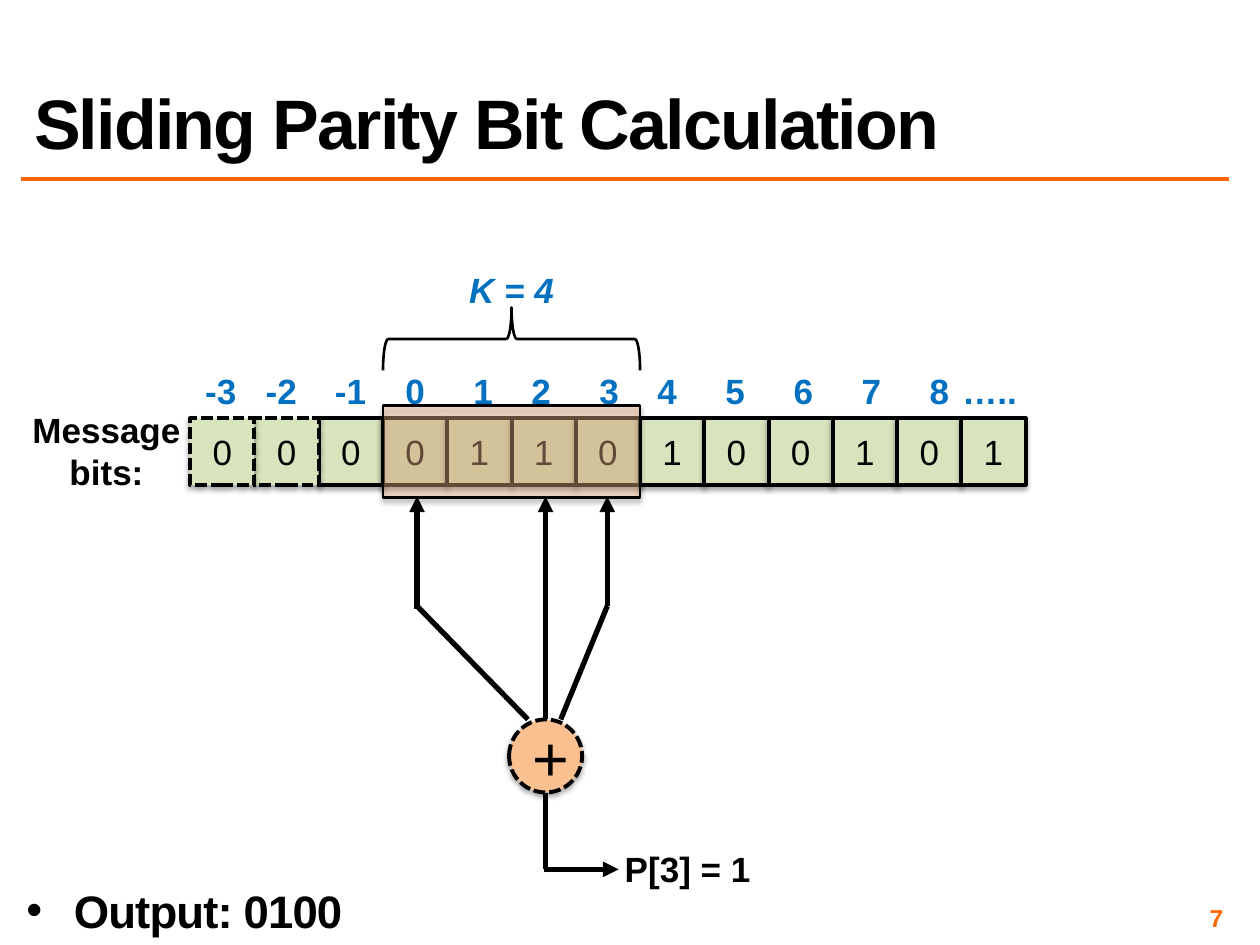
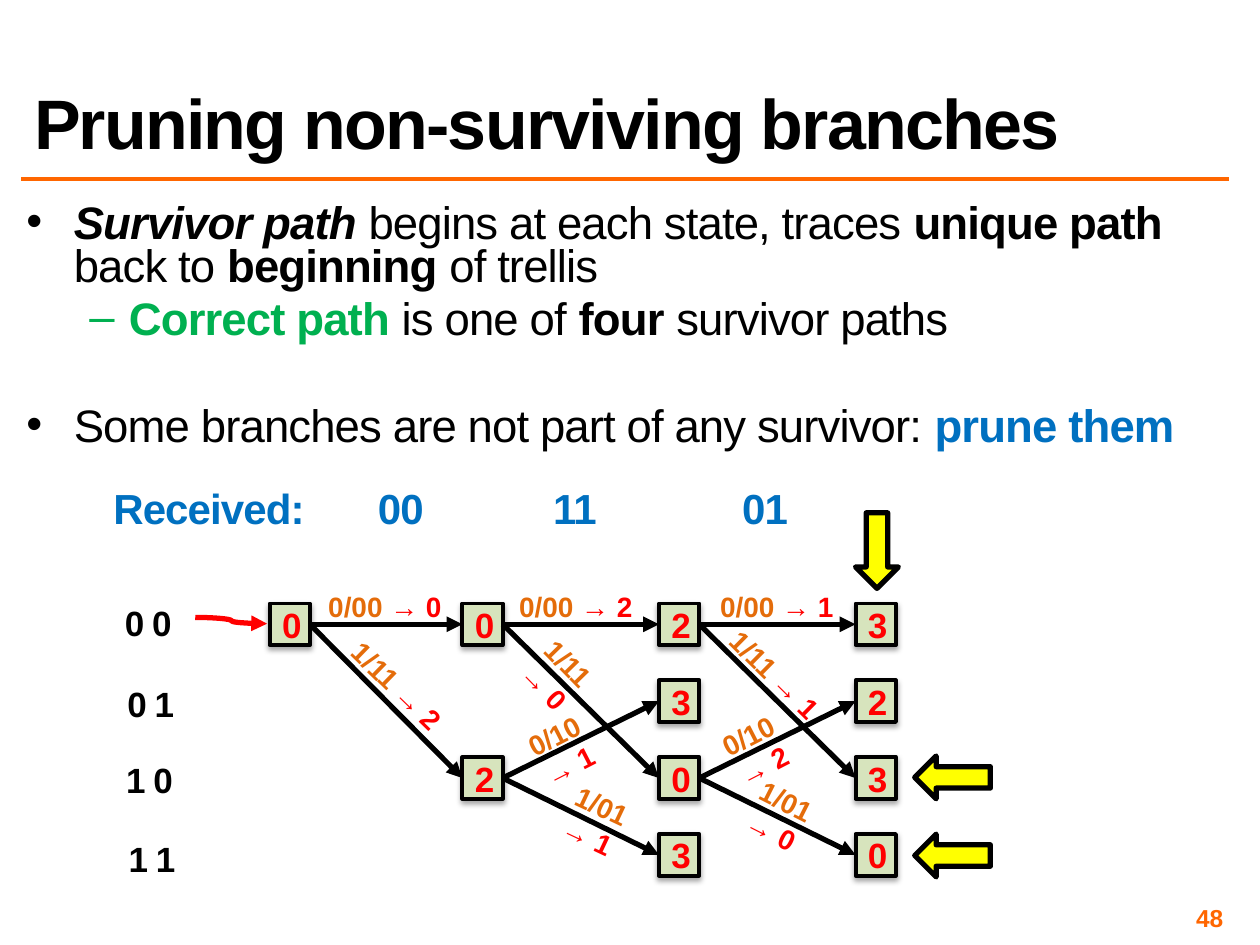
from pptx import Presentation
from pptx.dml.color import RGBColor
from pptx.enum.dml import MSO_LINE
from pptx.enum.shapes import MSO_CONNECTOR, MSO_SHAPE
from pptx.enum.text import MSO_ANCHOR, MSO_AUTO_SIZE, PP_ALIGN
from pptx.oxml.ns import qn
from pptx.util import Inches, Pt
from lxml import etree

RECT, OVAL = MSO_SHAPE.RECTANGLE, MSO_SHAPE.OVAL
BRACE, BLOCK_ARROW = MSO_SHAPE.RIGHT_BRACE, MSO_SHAPE.DOWN_ARROW
STRAIGHT, CURVE = MSO_CONNECTOR.STRAIGHT, MSO_CONNECTOR.CURVE
LEFT, CENTER, RIGHT = PP_ALIGN.LEFT, PP_ALIGN.CENTER, PP_ALIGN.RIGHT
TOP, MIDDLE, BOTTOM = MSO_ANCHOR.TOP, MSO_ANCHOR.MIDDLE, MSO_ANCHOR.BOTTOM
DASH = MSO_LINE.SQUARE_DOT

FONT = "Arial"
COLORS = {
    "black": "000000",
    "orange": "FF6600",
    "branch": "E46C0A",
    "red": "FF0000",
    "blue": "0070C0",
    "green": "00B050",
    "cell": "D7E4BD",
    "peach": "FAC090",
    "yellow": "FFFF00",
}
TIGHT = 0.04
NORMAL = 0.1

BITS = "0000110100101"
PADDING_CELLS = 2
CELL_LEFT, CELL_TOP, CELL_WIDTH, CELL_HEIGHT = 1.51, 3.32, 0.51, 0.53
INDICES = ["-3", "-2", "-1", *map(str, range(9)), "….."]
INDEX_TABS = [0.48, 1.03, 1.59, 2.13, 2.59, 3.13, 3.59, 4.13, 4.67, 5.21, 5.75, 6.01]

STAGE_LEFTS = [2.14, 3.67, 5.23, 6.79]
STATE_TOP, STATE_PITCH = 4.79, 0.61
STAGE_METRICS = [{0: "0"}, {0: "0", 2: "2"},
                 {0: "2", 1: "3", 2: "0", 3: "3"},
                 {0: "3", 1: "2", 2: "3", 3: "0"}]
NEXT_STATES = {0: (0, 2), 2: (1, 3)}
STATE_NAMES = [("0 0", 0.95, 4.73), ("0 1", 0.97, 5.38),
               ("1 0", 0.96, 5.98), ("1 1", 0.98, 6.61)]
BRANCH_LABELS = [
    ("0/00 ", "→ 0", (2.46, 4.63, 1.19, 0.37), 0),
    ("1/11 ", "→ 2", (2.56, 5.26, 1.18, 0.37), 44.2),
    ("0/00 ", "→ 2", (3.94, 4.63, 1.26, 0.37), 0),
    ("1/11 ", "→ 0", (4.05, 5.04, 0.73, 0.64), 45.7),
    ("0/10 ", "→ 1", (4.12, 5.64, 0.68, 0.64), 332.8),
    ("1/01 ", "→ 1", (4.39, 6.2, 0.66, 0.64), 25.3),
    ("0/00 ", "→ 1", (5.55, 4.63, 1.23, 0.37), 0),
    ("1/11 ", "→ 1", (5.5, 5.17, 1.3, 0.37), 44.6),
    ("0/10 ", "→ 2", (5.66, 5.64, 0.68, 0.64), 332.8),
    ("1/01 ", "→ 0", (5.85, 6.16, 0.66, 0.64), 26.8),
]


def rgb(name):
    return RGBColor.from_string(COLORS[name])


def inches(values):
    return [Inches(value) for value in values]


def add_xml(parent, tag, **attributes):
    return etree.SubElement(parent, qn(tag), attributes)


def write(paragraph, text, size, color="black", bold=None, italic=None,
          align=LEFT, spacing=0):
    paragraph.alignment = align
    font = paragraph.font
    font.name, font.size = FONT, Pt(size)
    pieces = text
    if isinstance(text, str):
        pieces = [(text, {})]
        font.bold, font.italic = bold, italic
        font.color.rgb = rgb(color)
    for words, style in pieces:
        run = paragraph.add_run()
        run.text = words
        if not isinstance(text, str):
            run.font.bold = style.get("bold", bold)
            run.font.italic = style.get("italic")
            run.font.color.rgb = rgb(style.get("color", color))
        if spacing:
            run._r.get_or_add_rPr().set("spc", str(int(spacing * 100)))


def set_tabs(paragraph, stops):
    properties = paragraph._p.get_or_add_pPr()
    tabs = add_xml(properties, "a:tabLst")
    for stop in stops:
        add_xml(tabs, "a:tab", pos=str(Inches(stop)), algn="l")
    properties.find(qn("a:defRPr")).addprevious(tabs)


def set_frame(frame, inset=NORMAL, anchor=TOP, wrap=True):
    frame.word_wrap = wrap
    frame.auto_size = MSO_AUTO_SIZE.NONE
    frame.vertical_anchor = anchor
    frame.margin_left = frame.margin_right = Inches(inset)
    frame.margin_top = frame.margin_bottom = Inches(min(inset, 0.05))


def add_label(slide, text, box, size, inset=NORMAL, anchor=TOP, wrap=True,
              rotation=0, **style):
    label = slide.shapes.add_textbox(*inches(box))
    label.rotation = rotation
    set_frame(label.text_frame, inset, anchor, wrap)
    paragraph = label.text_frame.paragraphs[0]
    write(paragraph, text, size, **style)
    return label.text_frame


def add_figure(slide, kind, box, fill=None, weight=2.25, shadow=False,
               dash=None, rotation=0):
    figure = slide.shapes.add_shape(kind, *inches(box))
    figure.rotation = rotation
    figure.shadow.inherit = False
    if fill:
        figure.fill.solid()
        figure.fill.fore_color.rgb = rgb(fill)
    else:
        figure.fill.background()
    figure.line.color.rgb = rgb("black")
    figure.line.width = Pt(weight)
    if dash:
        figure.line.dash_style = dash
    if shadow:
        effects = figure._element.spPr.find(qn("a:effectLst"))
        outer = add_xml(effects, "a:outerShdw", blurRad=str(Pt(3.1)),
                        dist=str(Pt(1.8)), dir="5400000", rotWithShape="0")
        tint = add_xml(outer, "a:srgbClr", val=COLORS["black"])
        add_xml(tint, "a:alpha", val="35000")
    return figure


def add_node(slide, kind, box, text, fill="cell", dash=None, size=20, **style):
    node = add_figure(slide, kind, box, fill, shadow=True, dash=dash)
    set_frame(node.text_frame, anchor=MIDDLE)
    write(node.text_frame.paragraphs[0], text, size, align=CENTER, **style)
    return node


def add_line(slide, start=(0, 0), end=(0, 0), color="black", weight=3,
             arrow=False, kind=STRAIGHT):
    line = slide.shapes.add_connector(kind, *inches(start + end))
    line.line.color.rgb = rgb(color)
    line.line.width = Pt(weight)
    if arrow:
        add_xml(line.line._get_or_add_ln(), "a:tailEnd", type="triangle")
    add_xml(line._element.spPr, "a:effectLst")
    return line


def place(placeholder, box):
    placeholder.left, placeholder.top, placeholder.width, placeholder.height = inches(box)


def add_body(slide, box, paragraphs):
    body = slide.placeholders[1]
    place(body, box)
    frame = body.text_frame
    set_frame(frame, TIGHT)
    for number, (level, gap, pieces) in enumerate(paragraphs):
        paragraph = frame.add_paragraph() if number else frame.paragraphs[0]
        paragraph.level = level
        paragraph.line_spacing = 0.8
        if gap:
            paragraph.space_before = Pt(gap)
        write(paragraph, pieces, 26, bold=False, spacing=-0.5)


def start_slide(deck, heading, page):
    slide = deck.slides.add_slide(deck.slide_layouts[1])
    title = slide.shapes.title
    place(title, (0.17, 0.17, 9.58, 1.17))
    set_frame(title.text_frame, anchor=BOTTOM)
    paragraph = title.text_frame.paragraphs[0]
    paragraph.line_spacing = 0.8
    write(paragraph, heading, 40, bold=True, spacing=-1)
    add_line(slide, (0.17, 1.42), (9.75, 1.42), "orange", 2)
    add_label(slide, page, (7.42, 7.17, 2.33, 0.23), 14, TIGHT, MIDDLE,
              color="orange", bold=True, align=RIGHT)
    return slide


def add_message(slide):
    last = len(BITS)
    for index in [*range(PADDING_CELLS, last), *reversed(range(PADDING_CELLS))]:
        box = (CELL_LEFT + index * CELL_WIDTH, CELL_TOP, CELL_WIDTH, CELL_HEIGHT)
        add_node(slide, RECT, box, BITS[index],
                 dash=DASH if index < PADDING_CELLS else None)
    indices = add_label(slide, "\t".join(INDICES), (1.53, 2.88, 6.67, 0.44), 20,
                        color="blue", bold=True)
    set_tabs(indices.paragraphs[0], INDEX_TABS)
    caption = add_label(slide, "Message", (0.15, 3.19, 1.39, 0.77), 20, wrap=False,
                        bold=True, align=CENTER)
    write(caption.add_paragraph(), "bits:", 20, bold=True, align=CENTER)


def add_window(slide):
    add_figure(slide, BRACE, (3.81, 1.67, 0.5, 2.04), weight=1.5, rotation=270)
    add_label(slide, "K = 4", (3.62, 2.08, 0.88, 0.44), 20, wrap=False,
              color="blue", bold=True, italic=True, align=CENTER)
    window = add_figure(slide, RECT, (3.04, 3.22, 4 * CELL_WIDTH, 0.73), "peach", 1.5,
                        shadow=True)
    tint = window._element.spPr.find(qn("a:solidFill"))[0]
    add_xml(tint, "a:alpha", val="39000")


def add_parity_sum(slide):
    for tap, bend, foot in [(3.31, 4.83, 4.19), (4.33, 5.71, None), (4.82, 4.81, 4.45)]:
        add_line(slide, (tap, bend), (tap, 3.94), arrow=True)
        if foot:
            add_line(slide, (tap, 4.81), (foot, 5.71))
    add_node(slide, OVAL, (4.04, 5.71, 0.58, 0.58), "+", "peach", DASH, 36)
    add_line(slide, (4.33, 6.29), (4.33, 6.9))
    add_line(slide, (4.32, 6.9), (4.91, 6.9), arrow=True)
    add_label(slide, "P[3] = 1", (4.86, 6.68, 1.75, 0.44), 20, bold=True)


def add_trellis(slide):
    states = {}
    for stage, (left, metrics) in enumerate(zip(STAGE_LEFTS, STAGE_METRICS)):
        for row, metric in metrics.items():
            box = (left, STATE_TOP + row * STATE_PITCH, 0.32, 0.33)
            states[stage, row] = add_node(slide, RECT, box, metric,
                                          color="red", bold=True)
    for (stage, row), state in states.items():
        if stage == len(STAGE_LEFTS) - 1:
            continue
        for next_row in NEXT_STATES.get(row, ()):
            branch = add_line(slide, arrow=True)
            branch.begin_connect(state, 3)
            branch.end_connect(states[stage + 1, next_row], 1)
    for code, metric, box, rotation in BRANCH_LABELS:
        pieces = [(code, {"color": "branch"}), (metric, {"color": "red"})]
        add_label(slide, pieces, box, 16, rotation=rotation, bold=True, align=CENTER)


def build_parity_slide(deck):
    slide = start_slide(deck, "Sliding Parity Bit Calculation", "7")
    add_message(slide)
    add_window(slide)
    add_parity_sum(slide)
    add_body(slide, (0.17, 7.05, 8.46, 0.43),
             [(0, 0, [("Output: 0100", {"bold": True})])])


def build_pruning_slide(deck):
    slide = start_slide(deck, "Pruning non-surviving branches", "48")
    strong = {"bold": True}
    add_body(slide, (0.17, 1.58, 9.58, 2.19), [
        (0, 0, [("Survivor path ", {"bold": True, "italic": True}),
                ("begins at each state, traces ", {}), ("unique path ", strong),
                ("back to ", {}), ("beginning", strong), (" of trellis", {})]),
        (1, 0, [("Correct path", {"bold": True, "color": "green"}),
                (" is one of ", {}), ("four", strong), (" survivor paths", {})]),
        (0, 36, [("Some branches are not part of any survivor: ", {}),
                 ("prune them", {"bold": True, "color": "blue"})]),
    ])
    received = add_label(slide, "Received:\t00\t11\t01", (0.86, 3.79, 7.8, 0.58), 24,
                         TIGHT, color="blue", bold=True, spacing=-0.5)
    set_tabs(received.paragraphs[0], [2.1, 3.49, 4.99])
    for name, left, top in STATE_NAMES:
        add_label(slide, name, (left, top, 0.59, 0.58), 20, TIGHT,
                  bold=True, spacing=-0.5)
    add_trellis(slide)
    add_line(slide, (1.55, 4.9), (2.12, 4.95), "red", arrow=True, kind=CURVE)
    for left, top, rotation in [(6.79, 4.07, 0), (7.39, 5.87, 90), (7.39, 6.49, 90)]:
        add_figure(slide, BLOCK_ARROW, (left, top, 0.34, 0.6), "yellow", 3,
                   rotation=rotation)


def main():
    deck = Presentation()
    deck.slide_width, deck.slide_height = Inches(10), Inches(7.5)
    build_parity_slide(deck)
    build_pruning_slide(deck)
    deck.save("out.pptx")


if __name__ == "__main__":
    main()
